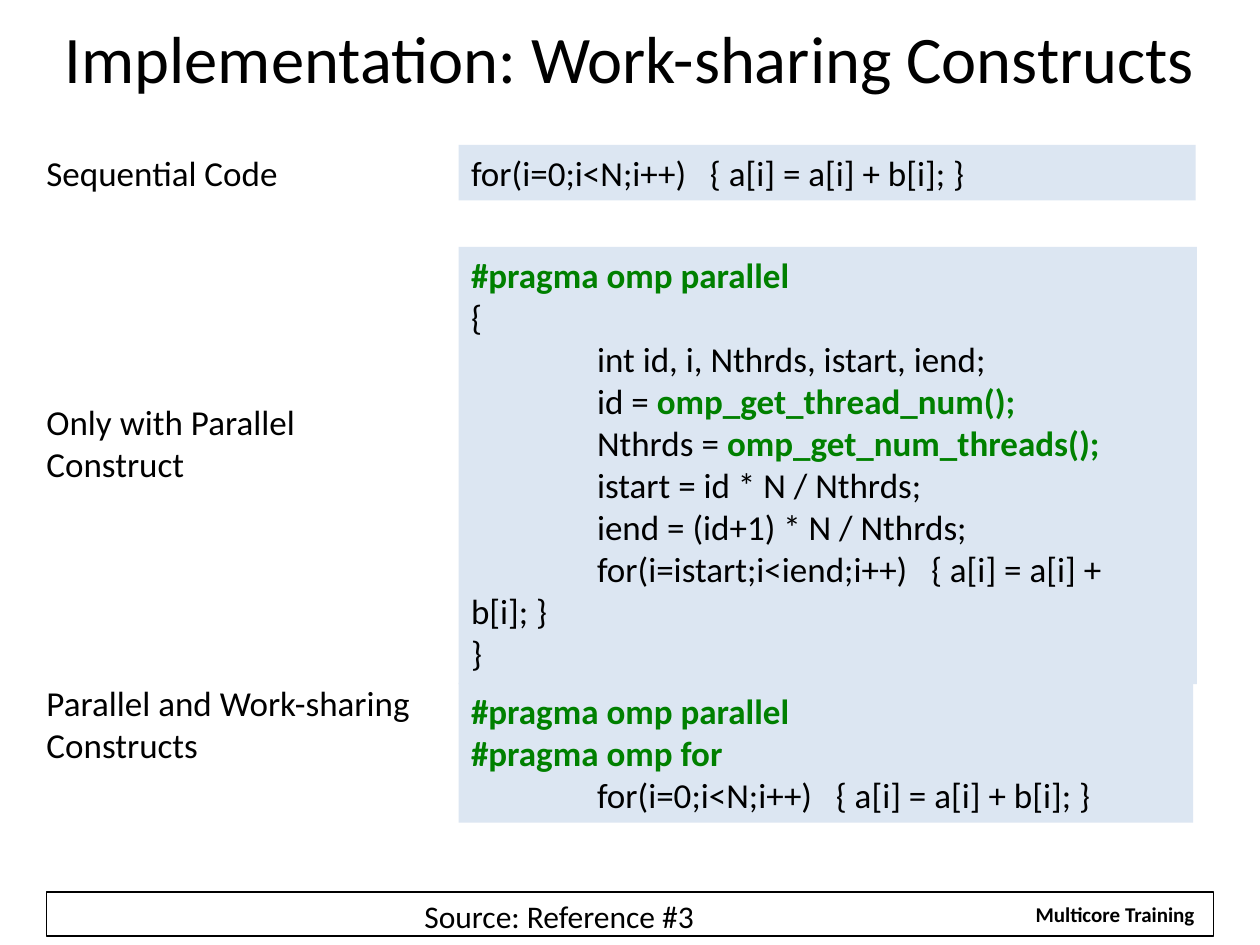
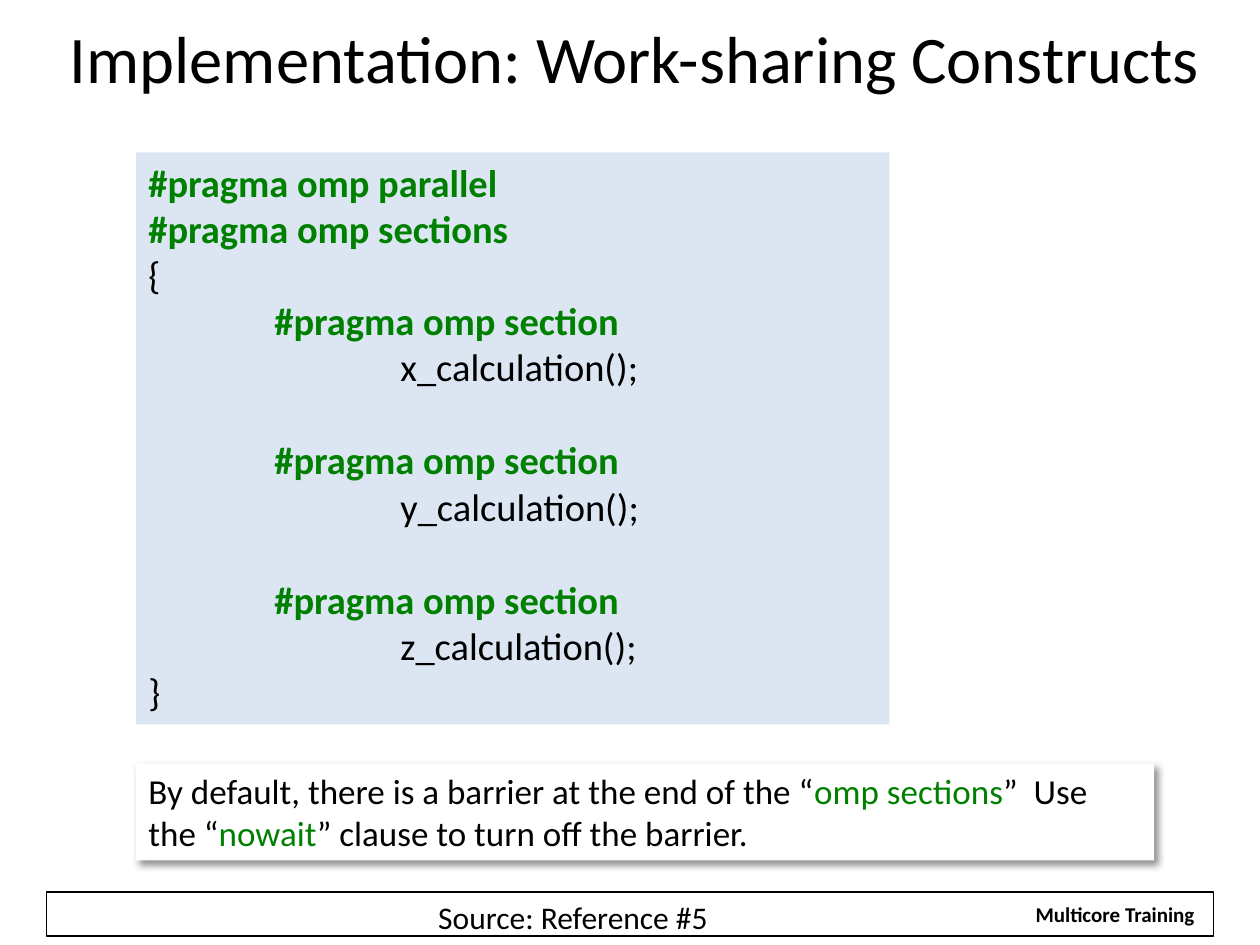
"""Two slides on work-sharing constructs: code panels, labels and a shared footer."""
from typing import NamedTuple, Optional

from lxml import etree
from pptx import Presentation
from pptx import util as u
from pptx.dml.color import RGBColor
from pptx.enum import shapes, text
from pptx.oxml.ns import qn

FONT = "Calibri"
BLACK = RGBColor(0x00, 0x00, 0x00)
WHITE = RGBColor(0xFF, 0xFF, 0xFF)
KEYWORD_GREEN = RGBColor(0x00, 0x80, 0x00)
PANEL_BLUE = RGBColor(0xDC, 0xE6, 0xF2)

# The slide is a grid of 100 columns by 75 rows of square cells.
SLIDE_WIDTH, SLIDE_HEIGHT = u.Inches(10), u.Inches(7.5)
COLUMN, ROW = SLIDE_WIDTH / 100, SLIDE_HEIGHT / 75
TAB = 10 * COLUMN
LINE_HEIGHT = 1.22  # Height of a line as a share of the text size
MARK = "`"  # Encloses the words shown in green

HEADING = "Implementation: Work-sharing Constructs"
LABEL_LEFT, CODE_LEFT, SECTIONS_LEFT = 2.7, 36.4, 10.8


class Area(NamedTuple):
    """A rectangle in grid cells."""
    left: float
    top: float
    columns: float
    rows: float

    def lengths(self) -> list[int]:
        """Return left, top, width and height for python-pptx."""
        cells = (COLUMN, ROW, COLUMN, ROW)
        return [round(cell * count) for cell, count in zip(cells, self)]


class Panel(NamedTuple):
    """A box of text; marked words are green, leading tabs indent a line."""
    area: Area
    content: str
    fill: Optional[RGBColor] = WHITE
    size: float = 20
    bold_marks: bool = True
    shadow: bool = False


class Page(NamedTuple):
    """The parts of one slide."""
    title_area: Area
    title_spacing: float
    panels: list[Panel]
    source: Panel


def write(frame, content: str, *, size: float, bold: bool = False,
          bold_marks: bool = True, align=text.PP_ALIGN.LEFT,
          anchor=text.MSO_ANCHOR.TOP, wrap: bool = True,
          spacing: Optional[float] = None) -> None:
    """Write one paragraph a line; an empty line becomes space before the next."""
    frame.word_wrap = wrap
    frame.auto_size = text.MSO_AUTO_SIZE.NONE
    frame.vertical_anchor = anchor
    paragraph, gap = None, 0
    for line in content.split("\n"):
        if not line:
            gap += size * LINE_HEIGHT
            continue
        paragraph = frame.add_paragraph() if paragraph else frame.paragraphs[0]
        paragraph.alignment = align
        paragraph.space_before, gap = u.Pt(gap), 0
        if spacing:
            paragraph.line_spacing = spacing
        words = line.lstrip("\t")
        tabs = len(line) - len(words)
        if tabs:
            paragraph._p.get_or_add_pPr().set("indent", str(round(tabs * TAB)))
        for index, part in enumerate(words.split(MARK)):
            if not part:
                continue
            marked = index % 2 == 1
            run = paragraph.add_run()
            run.text = part
            run.font.name, run.font.size = FONT, u.Pt(size)
            run.font.bold = bold or (marked and bold_marks)
            run.font.color.rgb = KEYWORD_GREEN if marked else BLACK


def add_box(slide, area: Area, fill: Optional[RGBColor] = None,
            line: Optional[RGBColor] = None):
    """Add a flat rectangle."""
    box = slide.shapes.add_shape(shapes.MSO_SHAPE.RECTANGLE, *area.lengths())
    box.shadow.inherit = False
    if fill is None:
        box.fill.background()
    else:
        box.fill.solid()
        box.fill.fore_color.rgb = fill
    if line is None:
        box.line.fill.background()
    else:
        box.line.color.rgb = line
        box.line.width = u.Pt(0.75)
    return box


def cast_shadow(box) -> None:
    """Give a box a soft shadow to the lower right."""
    effects = box.element.spPr.find(qn("a:effectLst"))
    shadow = etree.SubElement(
        effects, qn("a:outerShdw"), blurRad=str(u.Pt(4)), dist=str(u.Pt(3)),
        dir=str(45 * 60000), algn="tl", rotWithShape="0")
    colour = etree.SubElement(shadow, qn("a:srgbClr"), val=str(BLACK))
    etree.SubElement(colour, qn("a:alpha"), val="43000")


def add_panel(slide, panel: Panel) -> None:
    """Add a panel, as a plain text box where it has no fill."""
    if panel.fill is None:
        box = slide.shapes.add_textbox(*panel.area.lengths())
    else:
        box = add_box(slide, panel.area, panel.fill)
    if panel.shadow:
        cast_shadow(box)
    write(box.text_frame, panel.content, size=panel.size,
          bold_marks=panel.bold_marks)


def add_footer(layout, slide) -> None:
    """Draw the footer band and move it to the layout that all slides share."""
    for placeholder in list(layout.placeholders):
        if placeholder.placeholder_format.type != shapes.PP_PLACEHOLDER.TITLE:
            layout.shapes.element.remove(placeholder.element)
    band = add_box(slide, Area(3.7, 70.8, 92.6, 3.5), line=BLACK)
    course = add_box(slide, Area(81.1, 71.1, 14.8, 3), WHITE)
    write(course.text_frame, "Multicore Training", size=12, bold=True,
          align=text.PP_ALIGN.CENTER, wrap=False)
    for part in (band, course):
        layout.shapes.element.append(part.element)


def fill_page(slide, page: Page) -> None:
    """Write the title, the panels and the source of a slide."""
    title = slide.shapes.title
    title.left, title.top, title.width, title.height = page.title_area.lengths()
    write(title.text_frame, HEADING, size=38, align=text.PP_ALIGN.CENTER,
          anchor=text.MSO_ANCHOR.MIDDLE, spacing=page.title_spacing)
    for panel in (*page.panels, page.source):
        add_panel(slide, panel)


SEQUENTIAL = "for(i=0;i<N;i++)   { a[i] = a[i] + b[i]; }"
PARALLEL = """`#pragma omp parallel`
{
\tint id, i, Nthrds, istart, iend;
\tid = `omp_get_thread_num();`
\tNthrds = `omp_get_num_threads();`
\tistart = id * N / Nthrds;
\tiend = (id+1) * N / Nthrds;
\tfor(i=istart;i<iend;i++)   { a[i] = a[i] + b[i]; }
}"""
WORK_SHARING = f"`#pragma omp parallel`\n`#pragma omp for`\n\t{SEQUENTIAL}"
SECTIONS = "\n\n".join(
    f"\t`#pragma omp section`\n\t\t{axis}_calculation();" for axis in "xyz")
BARRIER = ("By default, there is a barrier at the end of the “`omp sections`”  "
           "Use the “`nowait`” clause to turn off the barrier.")

PAGES = [
    Page(Area(2.5, 0.8, 95, 8.3), 0.88, [
        Panel(Area(CODE_LEFT, 11.5, 58.5, 4.4), SEQUENTIAL, PANEL_BLUE),
        Panel(Area(CODE_LEFT, 19.6, 58.6, 34.7), PARALLEL, PANEL_BLUE),
        Panel(Area(CODE_LEFT, 54.2, 58.3, 11.1), WORK_SHARING, PANEL_BLUE),
        Panel(Area(LABEL_LEFT, 11.5, 25, 4.4), "Sequential Code"),
        Panel(Area(LABEL_LEFT, 31.3, 25, 7.7), "Only with Parallel Construct"),
        Panel(Area(LABEL_LEFT, 53.6, 31.8, 7.7),
              "Parallel and Work-sharing Constructs"),
    ], Panel(Area(32.7, 70.7, 34, 4), "Source: Reference #3", None, 18)),
    Page(Area(2.5, 0.8, 95.8, 8.3), 0.89, [
        Panel(Area(SECTIONS_LEFT, 12.1, 59.8, 45.4),
              f"`#pragma omp parallel`\n`#pragma omp sections`\n{{\n{SECTIONS}\n}}",
              PANEL_BLUE, 22),
        Panel(Area(SECTIONS_LEFT, 60.6, 80.8, 7.7), BARRIER,
              bold_marks=False, shadow=True),
    ], Panel(Area(33.8, 70.8, 34, 4), "Source: Reference #5", None, 18)),
]


def main() -> None:
    """Build and save the presentation."""
    deck = Presentation()
    deck.slide_width, deck.slide_height = SLIDE_WIDTH, SLIDE_HEIGHT
    title_only = deck.slide_layouts[5]
    slides = [deck.slides.add_slide(title_only) for _ in PAGES]
    add_footer(title_only, slides[0])
    for slide, page in zip(slides, PAGES):
        fill_page(slide, page)
    deck.save("out.pptx")


main()
